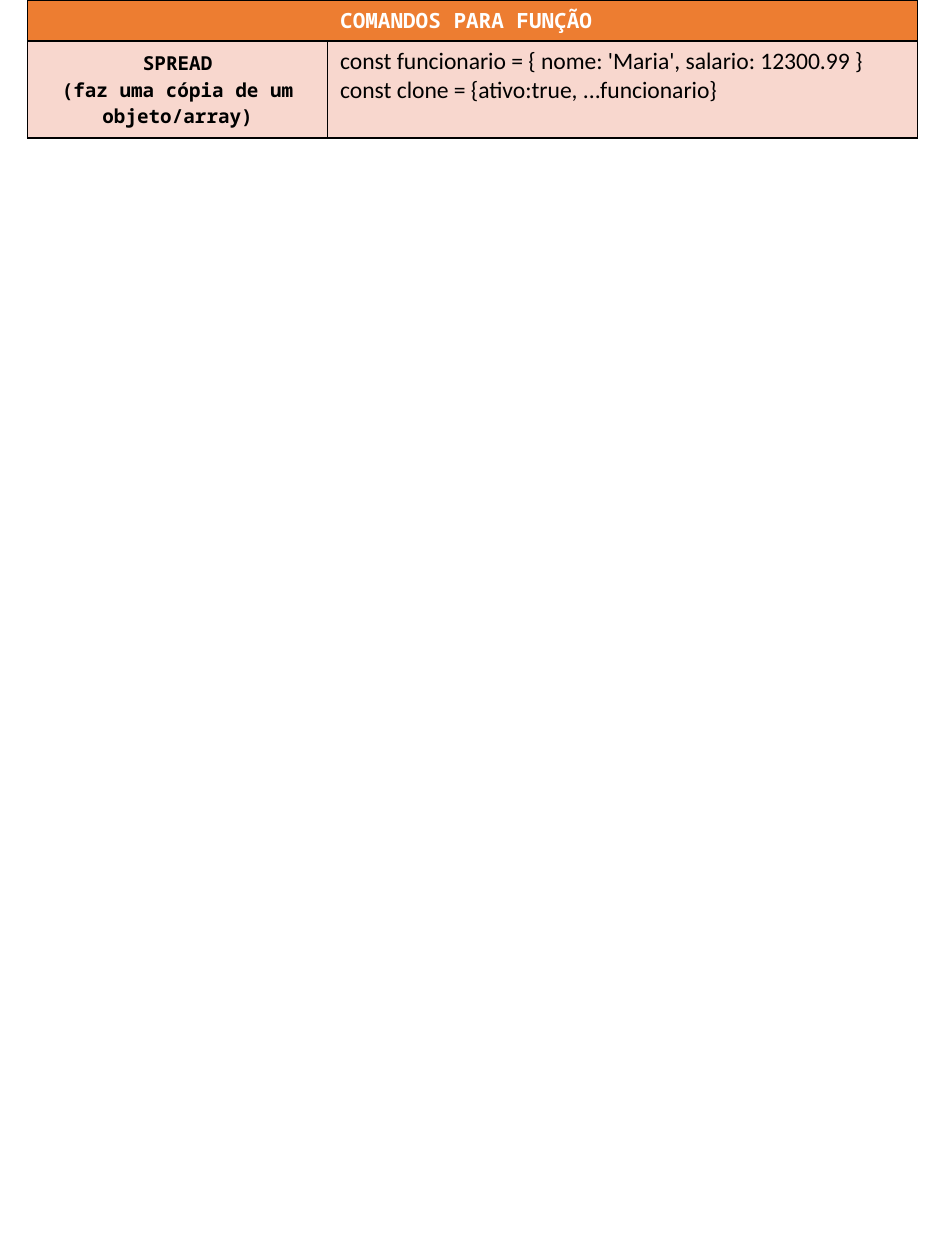
from lxml.etree import SubElement
from pptx import Presentation
from pptx.dml.color import RGBColor
from pptx.enum.text import MSO_ANCHOR as Anchor, PP_ALIGN as Align
from pptx.oxml.ns import qn
from pptx.util import Inches, Pt

MONO, SANS = "Noto Sans Mono", "Calibri"
BLACK, WHITE, ORANGE, PEACH = "000000", "FFFFFF", "ED7D31", "F8D7CE"


def rgb(value):
    return RGBColor.from_string(value)


def write(tf, text, size=11, font=MONO, color=BLACK, bold=False, align=Align.LEFT):
    """Fill tf: each newline starts a paragraph, each vertical tab a line break."""
    tf.text = text
    for p in tf.paragraphs:
        p.alignment = align
        for r in p.runs:
            r.font.size, r.font.name, r.font.bold = Pt(size), font, bold
            r.font.color.rgb = rgb(color)


class SlideBuilder:
    def __init__(self, slide, line_color=BLACK, line_width=1):
        self.s = slide
        self.line_color = line_color
        self.line_width = line_width

    def table(self, left, top, widths, heights):
        frame = self.s.shapes.add_table(
            len(heights), len(widths), Inches(left), Inches(top),
            Inches(sum(widths)), Inches(sum(heights)))
        table = frame.table
        table.first_row = table.horz_banding = False
        for column, width in zip(table.columns, widths):
            column.width = Inches(width)
        for row, height in zip(table.rows, heights):
            row.height = Inches(height)
        for cell in table.iter_cells():
            self.borders(cell)
        return table

    def borders(self, cell):
        props = cell._tc.get_or_add_tcPr()
        for side in ("a:lnL", "a:lnR", "a:lnT", "a:lnB"):
            line = SubElement(props, qn(side), w=str(Pt(self.line_width)))
            fill = SubElement(line, qn("a:solidFill"))
            SubElement(fill, qn("a:srgbClr"), val=self.line_color)

    def cell(self, cell, text, fill, anchor=Anchor.TOP, **style):
        cell.fill.solid()
        cell.fill.fore_color.rgb = rgb(fill)
        cell.vertical_anchor = anchor
        write(cell.text_frame, text, **style)


def main():
    prs = Presentation()
    prs.slide_width, prs.slide_height = Inches(7.5), Inches(10)
    builder = SlideBuilder(prs.slides.add_slide(prs.slide_layouts[6]))

    table = builder.table(0.22, 0, widths=[2.38, 4.68], heights=[0.32, 0.77])
    header, command, example = table.cell(0, 0), table.cell(1, 0), table.cell(1, 1)
    header.merge(table.cell(0, 1))

    builder.cell(header, "COMANDOS PARA FUNÇÃO ", ORANGE,
                 size=12, color=WHITE, bold=True, align=Align.CENTER)
    builder.cell(command, "SPREAD\v(faz uma cópia de um objeto/array)", PEACH,
                 anchor=Anchor.MIDDLE, bold=True, align=Align.CENTER)
    builder.cell(example,
                 "const funcionario = { nome: 'Maria', salario: 12300.99 }\n"
                 "const clone = {ativo:true, ...funcionario}",
                 PEACH, size=13.5, font=SANS)

    prs.save("out.pptx")


if __name__ == "__main__":
    main()
